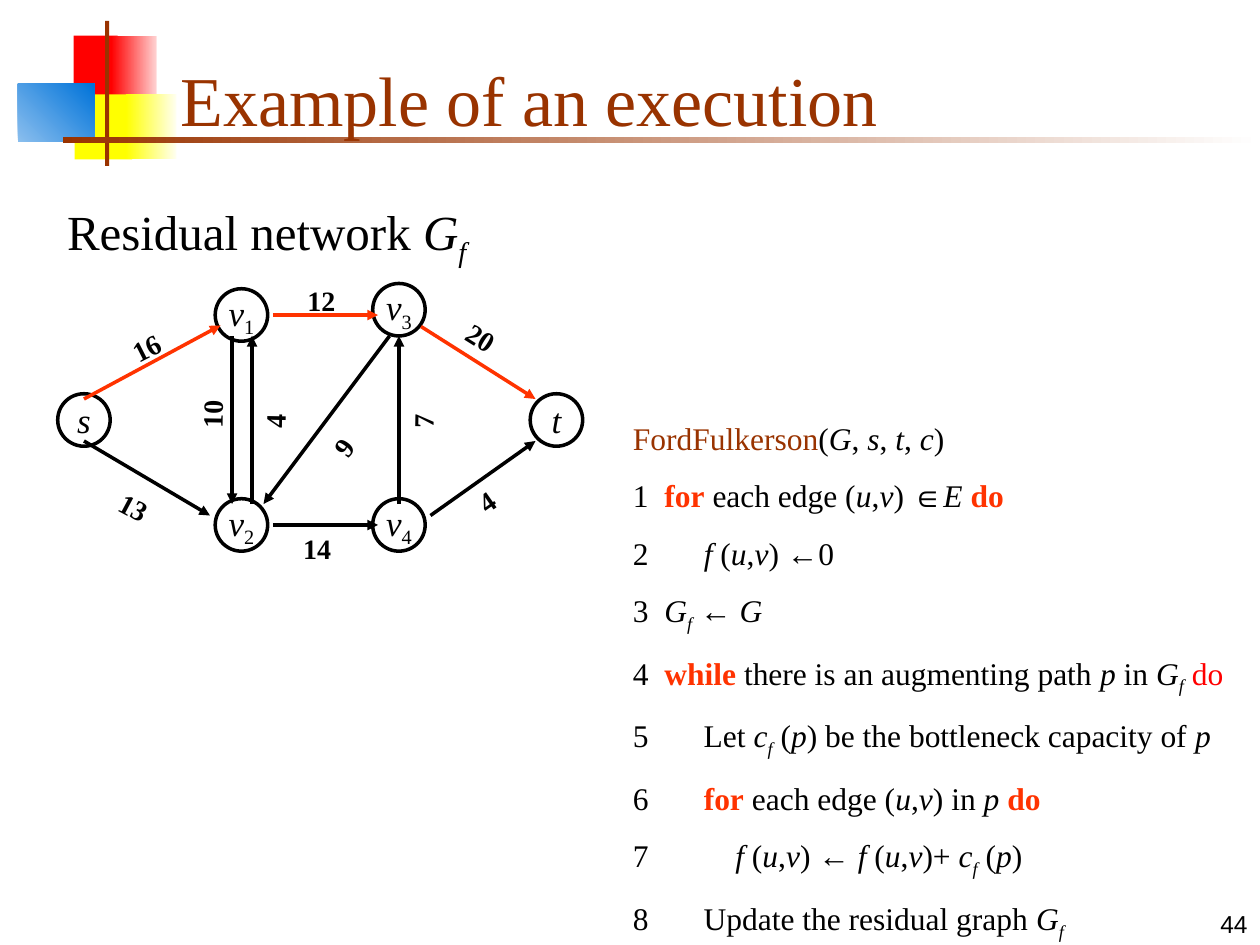
"""Build the slide on running Ford-Fulkerson: a residual network beside its pseudocode."""
from pptx import Presentation
from pptx.dml.color import RGBColor
from pptx.enum.shapes import MSO_CONNECTOR, MSO_SHAPE
from pptx.enum.text import MSO_ANCHOR as ANCHOR, PP_ALIGN as ALIGN
from pptx.oxml.ns import qn
from pptx.util import Pt
from lxml.etree import SubElement

PX = 914400 // 120
COLORS = {
    "black": "000000", "white": "FFFFFF", "brown": "993300", "orange": "FF3300",
    "red": "FF0000", "pink": "FFD1D1", "yellow": "FFFF00", "cream": "FFFFF0",
    "sky": "8BBFEE", "blue": "0073D9",
}
RGB = {name: RGBColor.from_string(code) for name, code in COLORS.items()}
MARKS = "*~^@#"


def write(shape, text, size, font="Times New Roman", color="black", bold=False,
          align=ALIGN.LEFT, anchor=ANCHOR.TOP, wrap=True, space=0, hanging=0):
    """Write text in which * is italic, ~ subscript, ^ keyword, @ brown and # red."""
    frame = shape.text_frame
    frame.word_wrap, frame.vertical_anchor = wrap, anchor
    for index, line in enumerate(text.split("\n")):
        paragraph = frame.add_paragraph() if index else frame.paragraphs[0]
        paragraph.alignment = align
        paragraph.space_before = Pt(space if index else 0)
        if hanging:
            indents = paragraph._p.get_or_add_pPr()
            indents.set("marL", str(hanging * PX))
            indents.set("indent", str(-hanging * PX))
        for mark in MARKS:
            line = line.replace(mark, f"\n{mark}\n")
        active = set()
        for piece in filter(None, line.split("\n")):
            if piece in MARKS:
                active ^= {piece}
                continue
            run = paragraph.add_run()
            run.text = piece
            run.font.name, run.font.size = font, Pt(size)
            run.font.bold = bold or "^" in active
            run.font.italic = "*" in active
            tint = ("orange" if "^" in active else "brown" if "@" in active
                    else "red" if "#" in active else color)
            run.font.color.rgb = RGB[tint]
            if "~" in active:
                run._r.get_or_add_rPr().set("baseline", "-25000")


def add_box(kind, left, top, width, height, start, end=None, angle=0):
    """Add a borderless shape with a solid fill, or a gradient if it has an end colour."""
    box = shapes.add_shape(kind, left * PX, top * PX, width * PX, height * PX)
    box.shadow.inherit = False
    box.line.fill.background()
    if end:
        box.fill.gradient()
        box.fill.gradient_angle = angle
        for stop, name in zip(box.fill.gradient_stops, (start, end)):
            stop.color.rgb = RGB[name]
    else:
        box.fill.solid()
        box.fill.fore_color.rgb = RGB[start]
    return box


deck = Presentation()
deck.slide_width, deck.slide_height = 1200 * PX, 900 * PX
slide = deck.slides.add_slide(deck.slide_layouts[5])
shapes = slide.shapes

for ornament in (
    (70, 34, 42, 62, "red"),
    (106, 34, 43, 62, "red", "pink"),
    (71, 90, 55, 62, "yellow"),
    (120, 90, 48, 62, "yellow", "cream"),
    (17, 80, 73, 55, "sky", "blue", 45),
    (100, 20, 4, 138, "brown"),
    (60, 130, 1140, 6, "brown", "white"),
):
    add_box(MSO_SHAPE.RECTANGLE, *ornament)

page_number = shapes.add_textbox(950 * PX, 840 * PX, 250 * PX, 60 * PX)
write(page_number, "44", 14, font="Arial", align=ALIGN.RIGHT, anchor=ANCHOR.BOTTOM)

for vertex, left, top in (
    ("*s*", 55, 375), ("*t*", 505, 375),
    ("*v*~1~", 205, 275), ("*v*~2~", 205, 475),
    ("*v*~3~", 355, 270), ("*v*~4~", 355, 475),
):
    node = add_box(MSO_SHAPE.OVAL, left, top, 50, 50, "white")
    node.line.color.rgb, node.line.width = RGB["black"], Pt(2)
    write(node, vertex, 20, align=ALIGN.CENTER, anchor=ANCHOR.MIDDLE, wrap=False)

for ends, color, capacity, left, top, rotation in (
    ((260, 300, 360, 300), "orange", "12", 281, 264, 0),
    ((260, 500, 360, 500), "black", "14", 277, 500, 0),
    ((80, 380, 210, 310), "orange", "16", 112, 300, 333),
    ((80, 420, 200, 491), "black", "13", 100, 470, 28),
    ((221, 320, 221, 480), "black", "10", 157, 353, 271),
    ((240, 480, 240, 320), "black", "4", 217, 353, 271),
    ((380, 480, 380, 320), "black", "7", 358, 353, 271),
    ((371, 320, 251, 480), "black", "9", 298, 383, 307),
    ((401, 311, 510, 380), "orange", "20", 430, 310, 32),
    ((410, 491, 510, 420), "black", "4", 440, 440, 325),
):
    edge = shapes.add_connector(MSO_CONNECTOR.STRAIGHT, *(end * PX for end in ends))
    edge.line.color.rgb, edge.line.width = RGB[color], Pt(2)
    SubElement(edge.line._get_or_add_ln(), qn("a:tailEnd"), type="triangle")
    SubElement(edge._element.spPr, qn("a:effectLst"))
    label = shapes.add_textbox(left * PX, top * PX, 90 * PX, 44 * PX)
    label.rotation = rotation
    write(label, capacity, 16, bold=True)

heading = shapes.add_textbox(52 * PX, 186 * PX, 407 * PX, 76 * PX)
write(heading, "Residual network *G~f~*", 28)

title = shapes.title
title.left, title.top, title.width, title.height = 160 * PX, 30 * PX, 1022 * PX, 110 * PX
write(title, "Example of an execution", 40, color="brown", anchor=ANCHOR.BOTTOM)
title._element.getparent().append(title._element)

pseudocode = shapes.add_textbox(591 * PX, 393 * PX, 590 * PX, 507 * PX)
write(pseudocode, """@FordFulkerson@(*G*, *s*, *t*, *c*)
1  ^for^ each edge (*u*,*v*) ∈*E *^do^
2       *f *(*u*,*v*) ←0
3  *G~f~* ← *G*
4  ^while^ there is an augmenting path *p* in *G~f~* #do#
5       Let *c~f~* (*p*) be the bottleneck capacity of *p*
6       ^for^ each edge (*u*,*v*) in *p *^do^
7           *f *(*u*,*v*) ← *f *(*u*,*v*)+ *c~f~* (*p*)
8       Update the residual graph *G~f~*""", 18, space=11.2, hanging=60)

deck.save("out.pptx")
